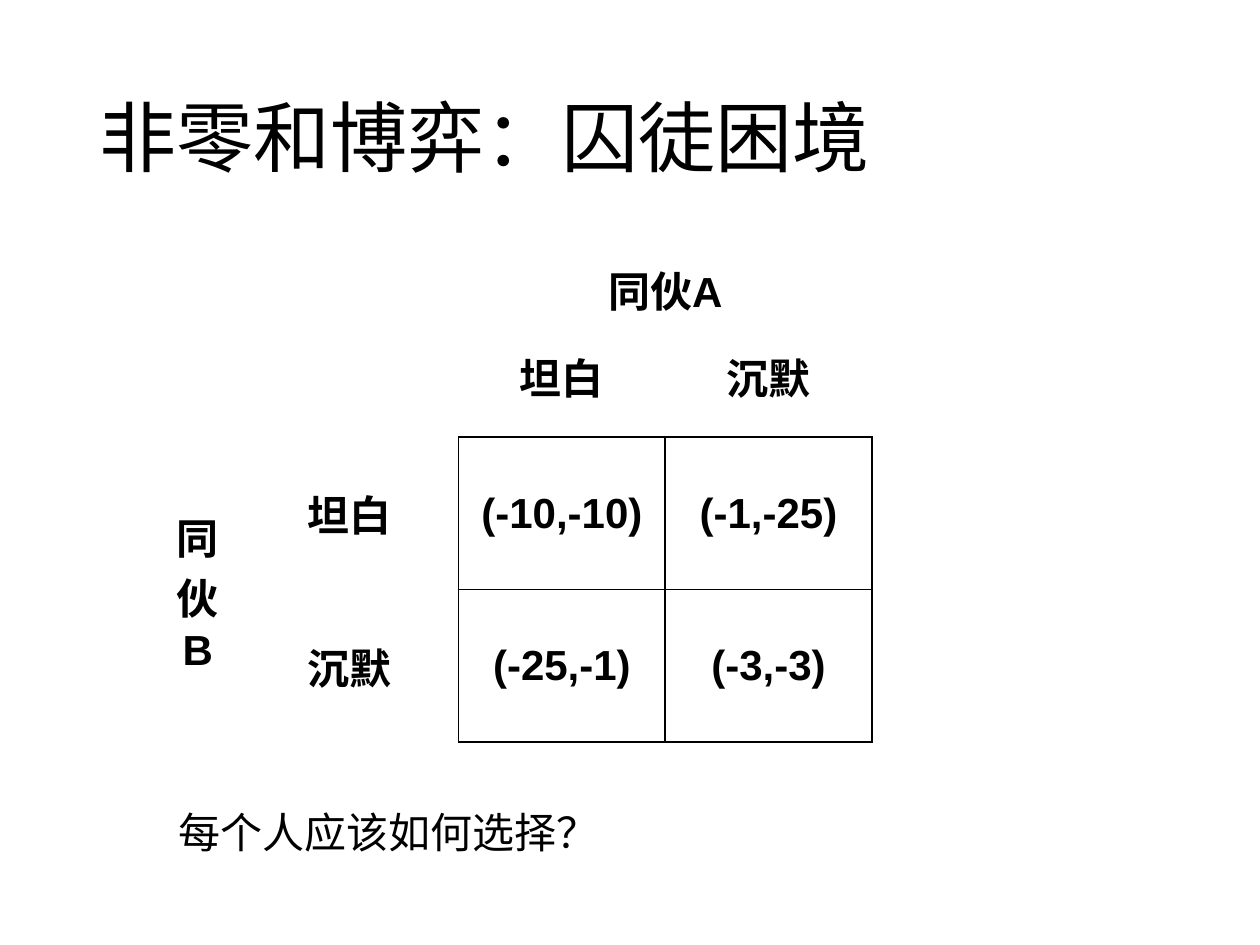
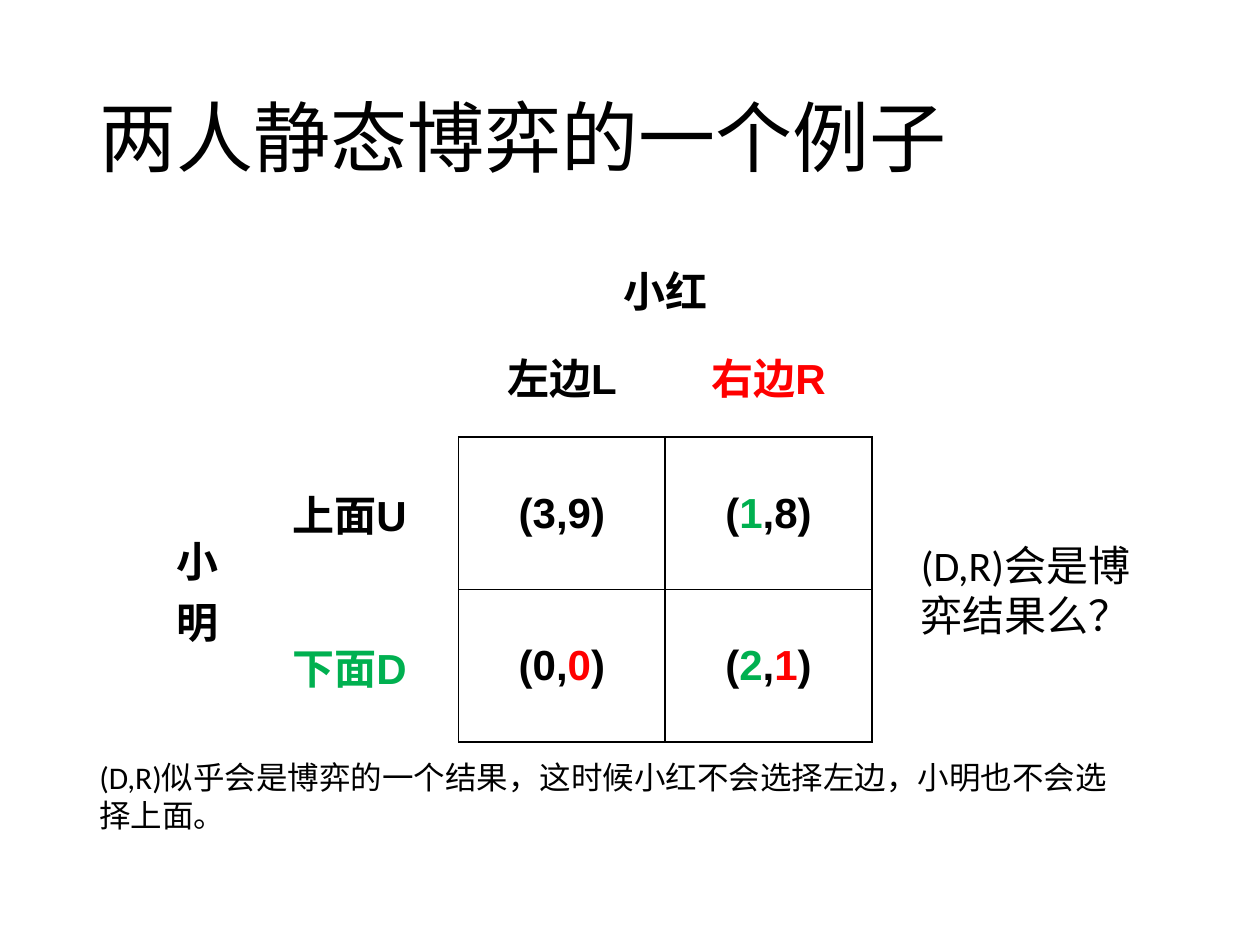
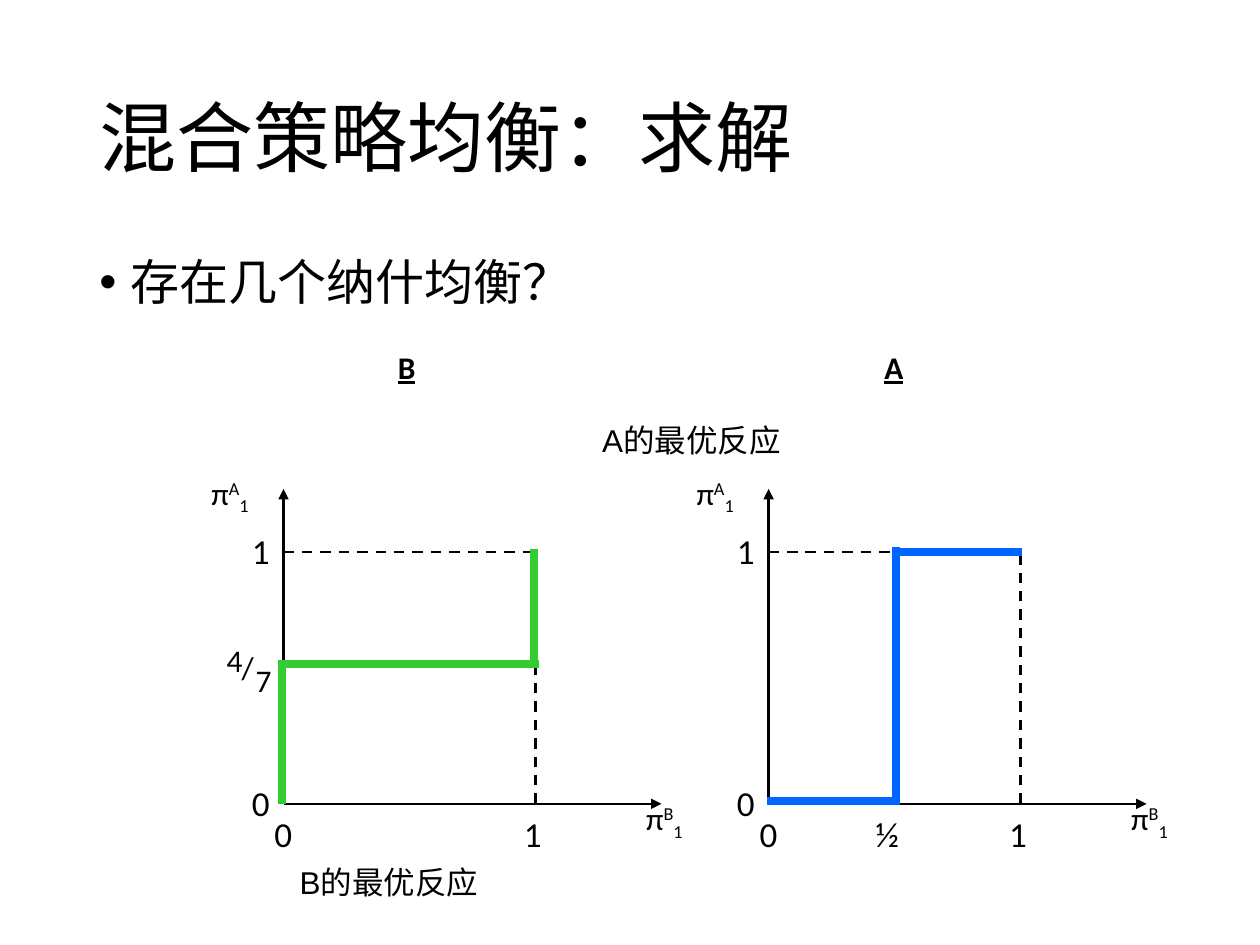
from dataclasses import dataclass
from typing import NamedTuple

import lxml.etree
import pptx
import pptx.dml.color
import pptx.enum.dml
import pptx.enum.shapes
import pptx.enum.text
import pptx.oxml.ns
import pptx.util

Inches = pptx.util.Inches
qn = pptx.oxml.ns.qn

COLORS = {
    "ink": "000000",
    "red": "FF0000",
    "green": "00B050",
    "b_response": "33CC33",
    "a_response": "0066FF",
}
NO_STYLE_TABLE = "{2D5ABB26-0587-4C30-8999-92F81FD0307C}"
MATRIX_COLUMNS = (0.68, 1.73, 1.64, 1.64)
MATRIX_ROWS = (0.24, 0.97, 1.21, 1.21)
UNIT = 2  # inches from probability 0 to probability 1


class Run(NamedTuple):
    text: str
    color: str = "ink"
    baseline: int = 0


class Box(NamedTuple):
    left: float
    top: float
    width: float
    height: float


class Segment(NamedTuple):
    """Offsets from a plot's origin in inches, x to the right and y upwards."""
    x1: float
    y1: float
    x2: float
    y2: float


@dataclass
class Style:
    size: float
    font: str = "Calibri"
    bold: bool = False
    underline: bool = False


@dataclass
class Game:
    column_player: str
    row_player: str
    column_moves: list[Run]
    row_moves: list[Run]
    payoffs: list[list[list[Run]]]


@dataclass
class Plot:
    left: float
    color: str
    response: list[Segment]
    bottom: float = 6.38


TITLE = Style(44)
QUESTION = Style(24)
BULLET = Style(28)
NOTE = Style(18)
TICK = Style(20)
PLAYER = Style(18, bold=True, underline=True)
CAPTION = Style(18, "Arial")
MATRIX = Style(24, "Arial", bold=True)

PRISONERS = Game(
    "同伙A", "同伙B",
    [Run("坦白"), Run("沉默")],
    [Run("坦白"), Run("沉默")],
    [[[Run("(-10,-10)")], [Run("(-1,-25)")]],
     [[Run("(-25,-1)")], [Run("(-3,-3)")]]],
)
STATIC_GAME = Game(
    "小红", "小明",
    [Run("左边L"), Run("右边R", "red")],
    [Run("上面U"), Run("下面D", "green")],
    [[[Run("(3,9)")],
      [Run("("), Run("1", "green"), Run(",8)")]],
     [[Run("(0,"), Run("0", "red"), Run(")")],
      [Run("("), Run("2", "green"), Run(","), Run("1", "red"), Run(")")]]],
)
B_PLOT = Plot(2.25, "b_response", [
    Segment(1.99, 2.02, 1.99, 1.12),
    Segment(-0.01, 1.11, -0.01, 0),
    Segment(2.03, 1.11, -0.04, 1.11),
])
A_PLOT = Plot(6.1, "a_response", [
    Segment(-0.01, 0.02, 1, 0.02),
    Segment(1.01, 2, 2.01, 2),
    Segment(1.01, 2.04, 1.01, -0.01),
])


def rgb(color: str) -> pptx.dml.color.RGBColor:
    return pptx.dml.color.RGBColor.from_string(COLORS[color])


def write_runs(paragraph, runs: list[Run], style: Style) -> None:
    for part in runs:
        run = paragraph.add_run()
        run.text = part.text
        run.font.size = pptx.util.Pt(style.size)
        run.font.name = style.font
        run.font.bold = style.bold
        run.font.underline = style.underline
        run.font.color.rgb = rgb(part.color)
        if part.baseline:
            run.font._element.set("baseline", str(part.baseline * 1000))


def add_text(shapes, box: Box, runs: list[Run], style: Style,
             wrap: bool = False, grow: bool = True):
    """Add a one-paragraph text box and return its text frame."""
    frame = shapes.add_textbox(*map(Inches, box)).text_frame
    frame.word_wrap = wrap
    if grow:
        frame.auto_size = pptx.enum.text.MSO_AUTO_SIZE.SHAPE_TO_FIT_TEXT
    write_runs(frame.paragraphs[0], runs, style)
    return frame


def add_titled_slide(deck, title: str):
    slide = deck.slides.add_slide(deck.slide_layouts[6])
    frame = add_text(slide.shapes, Box(0.69, 0.4, 8.62, 1.45), [Run(title)],
                     TITLE, wrap=True, grow=False)
    frame.vertical_anchor = pptx.enum.text.MSO_ANCHOR.MIDDLE
    frame.paragraphs[0].line_spacing = 0.9
    return slide


def add_bullet(slide, text: str) -> None:
    frame = add_text(slide.shapes, Box(0.69, 2, 8.62, 4.76), [Run(text)],
                     BULLET, wrap=True, grow=False)
    paragraph = frame.paragraphs[0]
    paragraph.line_spacing = 0.9
    properties = paragraph._p.get_or_add_pPr()
    properties.set("marL", str(Inches(0.25)))
    properties.set("indent", str(Inches(-0.25)))
    lxml.etree.SubElement(properties, qn("a:buFont"), typeface="Arial")
    lxml.etree.SubElement(properties, qn("a:buChar"), char="•")


def fill_cell(cell, runs: list[Run], edges: str = "") -> None:
    """Write a centred cell; edges names its ruled sides, out of LRTB."""
    properties = cell._tc.get_or_add_tcPr()
    for edge in edges:
        line = lxml.etree.SubElement(properties, qn(f"a:ln{edge}"),
                                     w=str(pptx.util.Pt(1)))
        fill = lxml.etree.SubElement(line, qn("a:solidFill"))
        lxml.etree.SubElement(fill, qn("a:srgbClr"), val=COLORS["ink"])
    cell.fill.background()
    cell.vertical_anchor = pptx.enum.text.MSO_ANCHOR.MIDDLE
    paragraph = cell.text_frame.paragraphs[0]
    paragraph.alignment = pptx.enum.text.PP_ALIGN.CENTER
    write_runs(paragraph, runs, MATRIX)


def add_payoff_matrix(slide, game: Game) -> None:
    matrix = slide.shapes.add_table(
        len(MATRIX_ROWS), len(MATRIX_COLUMNS), Inches(1.23), Inches(2),
        Inches(sum(MATRIX_COLUMNS)), Inches(sum(MATRIX_ROWS))).table
    matrix.first_row = matrix.horz_banding = False
    matrix._tbl.tblPr.find(qn("a:tableStyleId")).text = NO_STYLE_TABLE
    for column, width in zip(matrix.columns, MATRIX_COLUMNS):
        column.width = Inches(width)
    for row, height in zip(matrix.rows, MATRIX_ROWS):
        row.height = Inches(height)

    matrix.cell(0, 2).merge(matrix.cell(0, 3))
    matrix.cell(2, 0).merge(matrix.cell(3, 0))
    for row in range(2):
        for column in range(2):
            fill_cell(matrix.cell(row, column), [])
    fill_cell(matrix.cell(0, 2), [Run(game.column_player)])
    fill_cell(matrix.cell(2, 0), [Run(game.row_player)])
    for column, move in enumerate(game.column_moves, 2):
        fill_cell(matrix.cell(1, column), [move], "B")
    for row, (move, payoffs) in enumerate(zip(game.row_moves, game.payoffs), 2):
        fill_cell(matrix.cell(row, 1), [move], "R")
        for column, payoff in enumerate(payoffs, 2):
            fill_cell(matrix.cell(row, column), payoff, "LRTB")


def add_plot_line(slide, plot: Plot, segment: Segment, color: str = "ink",
                  width: float = 1.5, dashed: bool = False,
                  arrow: bool = False) -> None:
    connector = slide.shapes.add_connector(
        pptx.enum.shapes.MSO_CONNECTOR.STRAIGHT,
        Inches(plot.left + segment.x1), Inches(plot.bottom - segment.y1),
        Inches(plot.left + segment.x2), Inches(plot.bottom - segment.y2))
    connector.line.color.rgb = rgb(color)
    connector.line.width = pptx.util.Pt(width)
    if dashed:
        connector.line.dash_style = pptx.enum.dml.MSO_LINE.DASH
    if arrow:
        lxml.etree.SubElement(connector.line._get_or_add_ln(),
                              qn("a:tailEnd"), type="triangle")
    lxml.etree.SubElement(connector._element.spPr, qn("a:effectLst"))


def add_response_plot(slide, plot: Plot) -> None:
    for axis in (Segment(0, 0, 0, 2.5), Segment(0, 0, 3, 0)):
        add_plot_line(slide, plot, axis, arrow=True)
    for guide in (Segment(0, UNIT, UNIT, UNIT), Segment(UNIT, 0, UNIT, UNIT)):
        add_plot_line(slide, plot, guide, dashed=True)
    for value in (0, 1):
        tick = [Run(str(value))]
        along = value * UNIT
        add_text(slide.shapes, Box(plot.left - 0.35, plot.bottom - 0.23 - along,
                                   0.35, 0.43), tick, TICK)
        add_text(slide.shapes, Box(plot.left - 0.17 + along * 0.99,
                                   plot.bottom + 0.02, 0.35, 0.43), tick, TICK)
    for player, x, y in (("A", -0.67, -2.67), ("B", 2.78, -0.09)):
        add_text(slide.shapes, Box(plot.left + x, plot.bottom + y, 0.64, 0.5),
                 [Run("π"), Run(player, baseline=30), Run("1", baseline=-25)],
                 NOTE)
    for segment in plot.response:
        add_plot_line(slide, plot, segment, plot.color, 4.5)


def build_prisoners(deck) -> None:
    slide = add_titled_slide(deck, "非零和博弈：囚徒困境")
    add_payoff_matrix(slide, PRISONERS)
    add_text(slide.shapes, Box(1.32, 6.35, 3.57, 0.5),
             [Run("每个人应该如何选择？")], QUESTION)


def build_static_game(deck) -> None:
    slide = add_titled_slide(deck, "两人静态博弈的一个例子")
    add_payoff_matrix(slide, STATIC_GAME)
    add_text(slide.shapes, Box(0.69, 5.97, 8.2, 0.71),
             [Run("(D,R)似乎会是博弈的一个结果，这时候小红不会选择左边，"
                  "小明也不会选择上面。")], NOTE, wrap=True)
    add_text(slide.shapes, Box(7.21, 4.23, 2.02, 0.91),
             [Run("(D,R)会是博弈结果么？")], QUESTION, wrap=True)


def build_mixed_strategy(deck) -> None:
    slide = add_titled_slide(deck, "混合策略均衡：求解")
    add_bullet(slide, "存在几个纳什均衡？")
    for plot in (B_PLOT, A_PLOT):
        add_response_plot(slide, plot)
    for player, left in (("B", 3.06), ("A", 6.92)):
        add_text(slide.shapes, Box(left, 2.71, 0.43, 0.5), [Run(player)], PLAYER)
    for caption, left, top in (("B的最优反应", 2.28, 6.8),
                               ("A的最优反应", 4.68, 3.29)):
        add_text(slide.shapes, Box(left, top, 2.83, 0.4), [Run(caption)],
                 CAPTION, wrap=True)
    add_text(slide.shapes, Box(6.85, 6.4, 0.48, 0.43), [Run("½")], TICK)
    four_sevenths = slide.shapes.add_group_shape()
    for sign, left, top, width in (("4", 1.7, 5.04, 0.34),
                                   ("7", 1.93, 5.2, 0.34),
                                   ("/", 1.82, 5.09, 0.3)):
        add_text(four_sevenths.shapes, Box(left, top, width, 0.4),
                 [Run(sign)], NOTE)


def main() -> None:
    deck = pptx.Presentation()
    deck.slide_width = Inches(10)
    deck.slide_height = Inches(7.5)
    build_prisoners(deck)
    build_static_game(deck)
    build_mixed_strategy(deck)
    deck.save("out.pptx")


if __name__ == "__main__":
    main()
